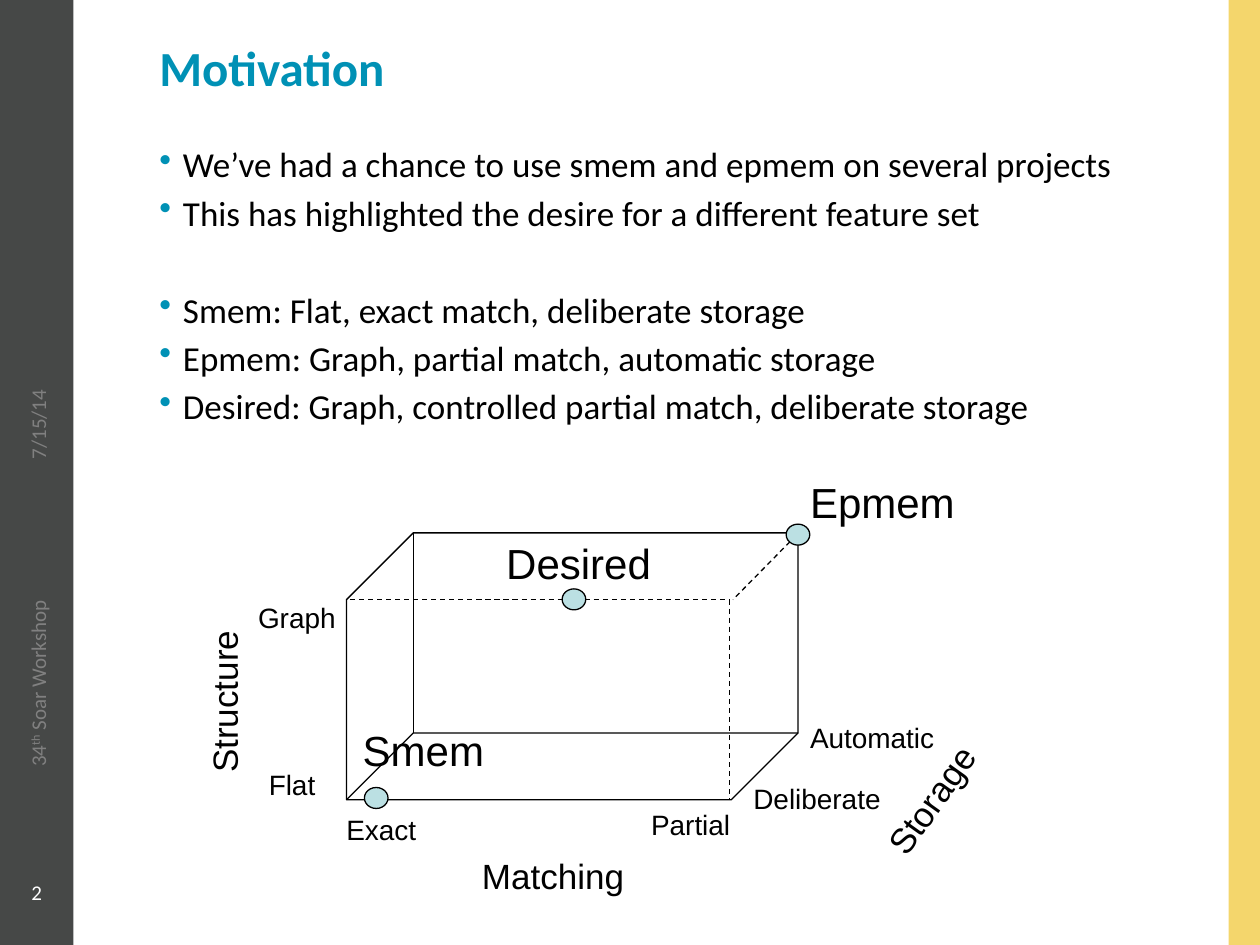
"""Build the Motivation slide: bullets above a cube of memory-system features."""
from dataclasses import dataclass

from lxml import etree
from pptx import Presentation
from pptx.dml.color import RGBColor
from pptx.enum import dml, shapes, text
from pptx.oxml import ns
from pptx.util import Pt


@dataclass(frozen=True)
class Theme:
    dark: str = "464847"
    gold: str = "F4D66C"
    teal: str = "0091B5"
    pale: str = "BBE0E3"
    grey: str = "808080"
    ink: str = "000000"
    white: str = "FFFFFF"
    body_font: str = "Calibri"
    label_font: str = "Arial"
    title: int = 28
    body: int = 20
    footer: int = 12
    corner: int = 16
    axis: int = 20
    system: int = 24
    stroke: float = 0.75


THEME = Theme()
WIDTH, HEIGHT = 720, 540
LEFT_BAR, RIGHT_BAR = 42, 18
TITLE = "Motivation"
BULLET_GROUPS = [
    ["We’ve had a chance to use smem and epmem on several projects",
     "This has highlighted the desire for a different feature set"],
    ["Smem: Flat, exact match, deliberate storage",
     "Epmem: Graph, partial match, automatic storage",
     "Desired: Graph, controlled partial match, deliberate storage"],
]
BULLET_GAP, GROUP_GAP, BULLET_INDENT = 3.6, 31.6, 13.5
DATE = "7/15/14"
EVENT = [("34", False), ("th", True), (" Soar Workshop", False)]
PAGE_NUMBER = "2"

AXES = [
    ("Structure", (79.9, 385.2, 96.5, 31.5), 270),
    ("Matching", (267.8, 484.5, 96.5, 31.5), 0),
    ("Storage", (489.6, 441.4, 85, 31.5), 305.5),
]
CORNERS = [
    ("Exact", (190.8, 460.8, 54.7, 26.6)),
    ("Partial", (365, 457.9, 60.5, 26.6)),
    ("Flat", (146.5, 434.9, 41.8, 26.6)),
    ("Graph", (140.4, 339.8, 59.8, 26.6)),
    ("Deliberate", (423.4, 442.8, 87.8, 26.6)),
    ("Automatic", (455.8, 408.2, 86.4, 26.6)),
]
SYSTEMS = [
    ("Smem", (200.2, 410.4, 84.2, 36), (215, 456)),
    ("Epmem", (455.8, 268.6, 97.9, 36), (456, 305.5)),
    ("Desired", (282.2, 303.8, 97.9, 36), (328, 342.5)),
]
CUBE = (198, 304.5, 258, 152.5)
DOT = (13.5, 12)


def rgb(value):
    """Turn a hex string into a colour."""
    return RGBColor.from_string(value)


def add_shape(page, kind, frame, fill=None, line=None):
    """Add a preset shape with plain fill and outline."""
    shape = page.shapes.add_shape(kind, *map(Pt, frame))
    shape.shadow.inherit = False
    if fill:
        shape.fill.solid()
        shape.fill.fore_color.rgb = rgb(fill)
    else:
        shape.fill.background()
    if line:
        shape.line.color.rgb = rgb(line)
        shape.line.width = Pt(THEME.stroke)
    else:
        shape.line.fill.background()
    return shape


def add_bullet(para):
    """Give a paragraph a hanging teal bullet."""
    props = para._p.get_or_add_pPr()
    props.set("marL", str(Pt(BULLET_INDENT)))
    props.set("indent", str(-Pt(BULLET_INDENT)))
    colour = etree.SubElement(props, ns.qn("a:buClr"))
    etree.SubElement(colour, ns.qn("a:srgbClr"), val=THEME.teal)
    etree.SubElement(props, ns.qn("a:buChar"), char="•")


def add_text(page, frame, paragraphs, *, size, color=THEME.ink, font=THEME.body_font,
             bold=False, align=text.PP_ALIGN.LEFT, anchor=text.MSO_ANCHOR.TOP,
             rotation=0, wrap=True, bullets=False, spaces=(), right_inset=7.2):
    """Add a text box; a paragraph is a string or a list of (text, raised) spans."""
    box = page.shapes.add_textbox(*map(Pt, frame))
    box.rotation = rotation
    body = box.text_frame
    body.word_wrap = wrap
    body.vertical_anchor = anchor
    body.margin_right = Pt(right_inset)
    for index, content in enumerate(paragraphs):
        para = body.add_paragraph() if index else body.paragraphs[0]
        para.alignment = align
        if bullets:
            add_bullet(para)
        if index and spaces:
            para.space_before = Pt(spaces[index])
        spans = [(content, False)] if isinstance(content, str) else content
        for words, raised in spans:
            span = para.add_run()
            span.text = words
            span.font.name, span.font.size, span.font.bold = font, Pt(size), bold
            span.font.color.rgb = rgb(color)
            if raised:
                span._r.get_or_add_rPr().set("baseline", "30000")
    return box


def add_dash(page, start, end):
    """Add a dashed straight line."""
    line = page.shapes.add_connector(shapes.MSO_CONNECTOR.STRAIGHT, *map(Pt, start + end))
    line.line.color.rgb = rgb(THEME.ink)
    line.line.width = Pt(THEME.stroke)
    line.line.dash_style = dml.MSO_LINE.DASH
    etree.SubElement(line._element.spPr, ns.qn("a:effectLst"))


def add_frame(page):
    """Add the side bars, date, event and page number."""
    rectangle = shapes.MSO_SHAPE.RECTANGLE
    add_shape(page, rectangle, (0, 0, LEFT_BAR, HEIGHT), THEME.dark)
    add_shape(page, rectangle, (WIDTH - RIGHT_BAR, 0, RIGHT_BAR, HEIGHT), THEME.gold)
    footer = dict(size=THEME.footer, align=text.PP_ALIGN.RIGHT, anchor=text.MSO_ANCHOR.MIDDLE)
    add_text(page, (-17.4, 242.6, 78, 24), [DATE], color=THEME.grey, rotation=270, **footer)
    add_text(page, (-50.4, 396, 144, 24), [EVENT], color=THEME.grey, rotation=270, **footer)
    add_text(page, (0, 498, LEFT_BAR, 24), [PAGE_NUMBER], color=THEME.white,
             right_inset=18, **footer)


def add_diagram(page):
    """Add the cube, its hidden edges, labels and the three systems."""
    left, top, width, height = CUBE
    cube = add_shape(page, shapes.MSO_SHAPE.CUBE, CUBE, line=THEME.ink)
    cube.rotation = 180
    depth = height / 4
    right, bottom = left + width, top + height
    inner_x, inner_y = right - depth - 1, top + depth
    add_dash(page, (inner_x, inner_y), (inner_x, bottom))
    add_dash(page, (right - 4.5, top + 5), (inner_x + 2, inner_y))
    add_dash(page, (left + 2, inner_y), (inner_x, inner_y))

    label = dict(font=THEME.label_font, wrap=False)
    for name, frame, rotation in AXES:
        add_text(page, frame, [name], size=THEME.axis, rotation=rotation,
                 align=text.PP_ALIGN.CENTER, **label)
    for name, frame in CORNERS:
        add_text(page, frame, [name], size=THEME.corner, **label)
    for name, frame, (x, y) in SYSTEMS:
        dot = (x - DOT[0] / 2, y - DOT[1] / 2, *DOT)
        add_shape(page, shapes.MSO_SHAPE.OVAL, dot, THEME.pale, THEME.ink)
        add_text(page, frame, [name], size=THEME.system, **label)


def main():
    """Assemble and save the deck."""
    deck = Presentation()
    deck.slide_width, deck.slide_height = Pt(WIDTH), Pt(HEIGHT)
    page = deck.slides.add_slide(deck.slide_layouts[6])
    add_frame(page)
    add_text(page, (84, 18, 582, 48), [TITLE], size=THEME.title, color=THEME.teal, bold=True)
    bullets = [line for group in BULLET_GROUPS for line in group]
    spaces = [BULLET_GAP if row else GROUP_GAP
              for group in BULLET_GROUPS for row in range(len(group))]
    add_text(page, (84, 78, 582, 129.6), bullets, size=THEME.body, bullets=True, spaces=spaces)
    add_diagram(page)
    deck.save("out.pptx")


if __name__ == "__main__":
    main()
